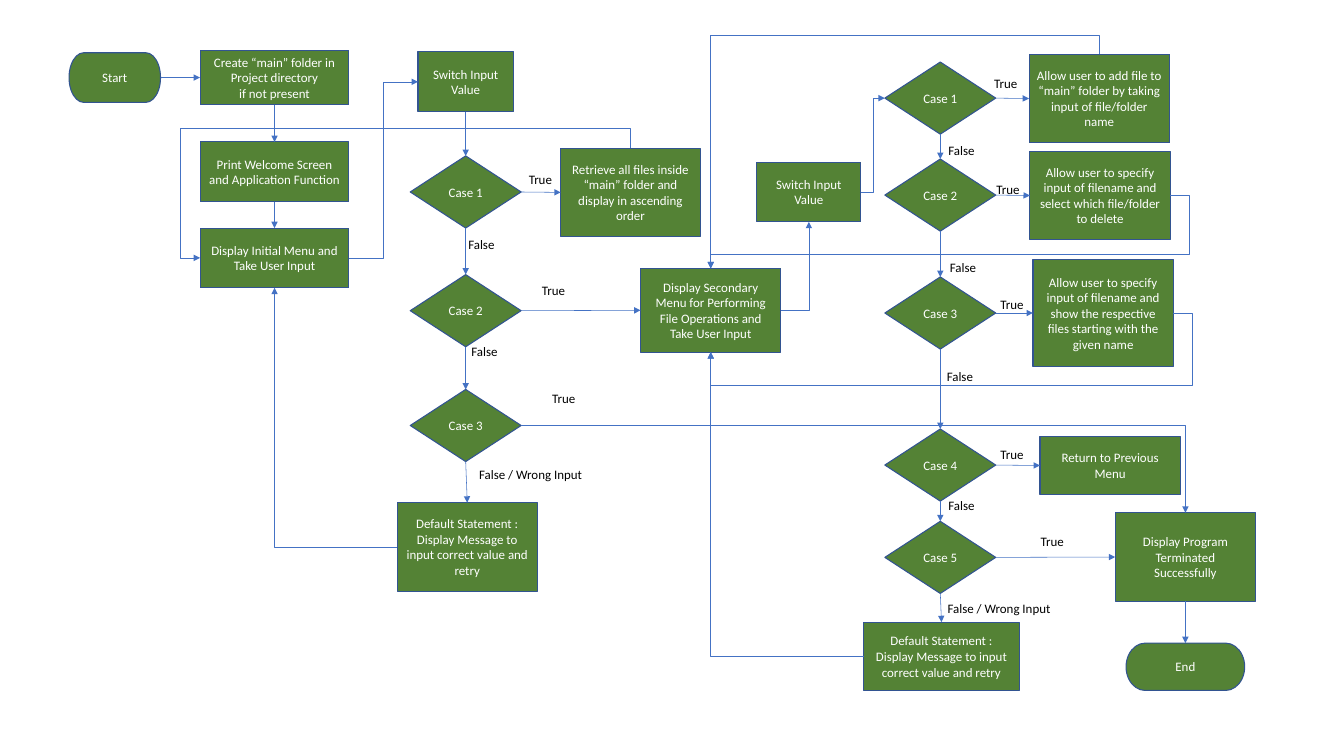
from lxml import etree
from pptx import Presentation
from pptx.dml.color import RGBColor
from pptx.enum.shapes import MSO_CONNECTOR, MSO_SHAPE
from pptx.enum.text import MSO_ANCHOR, PP_ALIGN
from pptx.oxml.ns import qn
from pptx.util import Inches, Pt

BOX, STEP = MSO_SHAPE.RECTANGLE, MSO_SHAPE.FLOWCHART_PROCESS
CASE, TERMINAL = MSO_SHAPE.FLOWCHART_DECISION, MSO_SHAPE.FLOWCHART_TERMINATOR
STRAIGHT, ELBOW = MSO_CONNECTOR.STRAIGHT, MSO_CONNECTOR.ELBOW
CENTER, LEFT = PP_ALIGN.CENTER, PP_ALIGN.LEFT
MIDDLE, TOP = MSO_ANCHOR.MIDDLE, MSO_ANCHOR.TOP
SIDES = {"top": 0, "left": 1, "bottom": 2, "right": 3}

THEME = {
    "font": "Calibri", "size": Pt(12),
    "fill": RGBColor.from_string("548235"),
    "outline": RGBColor.from_string("325491"), "outline_width": Pt(1),
    "arrow": RGBColor.from_string("4472C4"), "arrow_width": Pt(0.5),
    "on_fill": RGBColor.from_string("FFFFFF"),
    "label": RGBColor.from_string("000000"),
}

RETRY = "Default Statement : Display Message to input correct value and retry"
SWITCH = "Switch Input\nValue"

# Step name: (preset, left, top, width, height, text)
STEPS = {
    "start": (TERMINAL, 0.89, 0.68, 1.18, 0.64, "Start"),
    "create": (BOX, 2.58, 0.65, 1.92, 0.7,
               "Create “main” folder in Project directory\nif not present"),
    "welcome": (BOX, 2.58, 1.83, 1.92, 0.77,
                "Print Welcome Screen and Application Function"),
    "menu": (BOX, 2.58, 2.94, 1.92, 0.77, "Display Initial Menu and Take User Input"),
    "switch": (BOX, 5.39, 0.67, 1.23, 0.77, SWITCH),
    "retrieve": (STEP, 7.23, 1.91, 1.8, 1.14,
                 "Retrieve all files inside “main” folder and display in ascending order"),
    "retry": (STEP, 5.12, 6.48, 1.81, 1.14, RETRY),
    "submenu": (STEP, 8.26, 3.46, 1.81, 1.08,
                "Display Secondary Menu for Performing File Operations and Take User Input"),
    "subswitch": (BOX, 9.76, 2.09, 1.34, 0.77, SWITCH),
    "add": (STEP, 13.27, 0.7, 1.81, 1.14,
            "Allow user to add file to “main” folder by taking input of file/folder name"),
    "delete": (STEP, 13.28, 1.95, 1.81, 1.14,
               "Allow user to specify input of filename and select which file/folder to delete"),
    "show": (STEP, 13.32, 3.35, 1.81, 1.37,
             "Allow user to specify input of filename and show the respective files "
             "starting with the given name"),
    "return": (STEP, 13.41, 5.63, 1.81, 0.74, "Return to Previous Menu"),
    "subretry": (STEP, 11.14, 8.02, 2, 0.88, RETRY),
    "finish": (STEP, 14.38, 6.61, 1.81, 1.14, "Display Program Terminated Successfully"),
    "end": (TERMINAL, 14.52, 8.29, 1.53, 0.61, "End"),
}

# Decision chains: prefix, left, tops of the cases
CASE_WIDTH, CASE_HEIGHT = 1.43, 0.93
CHAINS = [("main", 5.29, (2.01, 3.54, 5.02)),
          ("sub", 11.41, (0.8, 2.05, 3.57, 5.53, 6.72))]

DOWNWARD = [
    ("create", "welcome", "menu"), ("finish", "end"),
    ("switch", "main1", "main2", "main3", "retry"),
    ("sub1", "sub2", "sub3", "sub4", "sub5", "subretry"),
]
RIGHTWARD = [
    ("start", "create"), ("main1", "retrieve"), ("main2", "submenu"),
    ("sub1", "add"), ("sub2", "delete"), ("sub3", "show"),
    ("sub4", "return"), ("sub5", "finish"),
]
STEPPED = [("menu", "switch"), ("subswitch", "sub1")]
CORNERS = [
    ("retry", "left", "menu", "bottom"), ("main3", "right", "finish", "top"),
    ("subretry", "left", "submenu", "bottom"), ("submenu", "right", "subswitch", "bottom"),
]
# Loops leave sideways to x, run along y; the arrowhead sits at the named end
LOOPS = [
    ("menu", "left", "retrieve", "top", 2.33, 1.66, "headEnd"),
    ("show", "right", "submenu", "bottom", 15.37, 4.96, "tailEnd"),
    ("delete", "right", "submenu", "top", 15.34, 3.28, "tailEnd"),
]
OVERHEAD_Y = 0.45

LABEL_WIDTHS = {"True": 0.5, "False": 0.54, "False / Wrong Input": 1.54}
LABELS = {
    "True": [(6.72, 2.16), (6.89, 3.6), (7.02, 4.99), (12.72, 0.93), (12.75, 2.29),
             (12.8, 3.78), (12.8, 5.71), (13.32, 6.83)],
    "False": [(5.94, 3), (5.98, 4.38), (12.13, 1.79), (12.15, 3.3), (12.11, 4.7),
              (12.13, 6.36)],
    "False / Wrong Input": [(6.08, 5.96), (12.12, 7.69)],
}


def write(frame, text, *, color, align=LEFT, anchor=TOP, wrap=True):
    """Put text into a frame, one paragraph per line."""
    frame.text = text
    frame.word_wrap = wrap
    frame.vertical_anchor = anchor
    for paragraph in frame.paragraphs:
        paragraph.alignment = align
        font = paragraph.runs[0].font
        font.name, font.size = THEME["font"], THEME["size"]
        font.color.rgb = color


def add_step(slide, preset, left, top, width, height, text):
    """Draw one flowchart step."""
    step = slide.shapes.add_shape(preset, *map(Inches, (left, top, width, height)))
    step.shadow.inherit = False
    step.fill.solid()
    step.fill.fore_color.rgb = THEME["fill"]
    step.line.color.rgb = THEME["outline"]
    step.line.width = THEME["outline_width"]
    write(step.text_frame, text, color=THEME["on_fill"], align=CENTER, anchor=MIDDLE)
    return step


def link(slide, source, source_side, target, target_side, kind=STRAIGHT, head="tailEnd"):
    """Connect two steps with an arrow glued to the given sides."""
    arrow = slide.shapes.add_connector(kind, 0, 0, 0, 0)
    arrow.begin_connect(source, SIDES[source_side])
    arrow.end_connect(target, SIDES[target_side])
    arrow.line.color.rgb = THEME["arrow"]
    arrow.line.width = THEME["arrow_width"]
    properties = arrow._element.spPr
    etree.SubElement(properties.find(qn("a:ln")), qn(f"a:{head}"), type="triangle")
    etree.SubElement(properties, qn("a:effectLst"))
    return arrow


def bend(arrow, preset, *ratios):
    """Choose the elbow preset and where its inner segments lie."""
    geometry = arrow._element.spPr.find(qn("a:prstGeom"))
    geometry.set("prst", preset)
    guides = geometry.get_or_add_avLst()
    for number, ratio in enumerate(ratios, 1):
        etree.SubElement(guides, qn("a:gd"), name=f"adj{number}",
                         fmla=f"val {round(ratio * 100000)}")


def link_overhead(slide, source, target, y):
    """Connect two tops by a line that rises to y, runs left and drops."""
    arrow = link(slide, source, "top", target, "top", ELBOW)
    run, drop = arrow.width, arrow.height
    bend(arrow, "bentConnector3", (Inches(y) - arrow.begin_y) / drop)
    middle_x, middle_y = arrow.left + run // 2, arrow.top + drop // 2
    arrow.left, arrow.top = middle_x - drop // 2, middle_y - run // 2
    arrow.width, arrow.height = drop, run
    frame = arrow._element.spPr.find(qn("a:xfrm"))
    for key, value in (("rot", "16200000"), ("flipH", "1"), ("flipV", "1")):
        frame.set(key, value)


def main():
    """Build the flowchart slide."""
    deck = Presentation()
    deck.slide_width, deck.slide_height = Inches(17.33), Inches(9.5)
    slide = deck.slides.add_slide(deck.slide_layouts[6])

    steps = {name: add_step(slide, *details) for name, details in STEPS.items()}
    for prefix, left, tops in CHAINS:
        for number, top in enumerate(tops, 1):
            steps[f"{prefix}{number}"] = add_step(
                slide, CASE, left, top, CASE_WIDTH, CASE_HEIGHT, f"Case {number}")

    for chain in DOWNWARD:
        for upper, lower in zip(chain, chain[1:]):
            link(slide, steps[upper], "bottom", steps[lower], "top")
    for pairs, kind in ((RIGHTWARD, STRAIGHT), (STEPPED, ELBOW)):
        for source, target in pairs:
            link(slide, steps[source], "right", steps[target], "left", kind)
    for source, source_side, target, target_side in CORNERS:
        corner = link(slide, steps[source], source_side, steps[target], target_side, ELBOW)
        bend(corner, "bentConnector2")
    for source, source_side, target, target_side, x, y, head in LOOPS:
        loop = link(slide, steps[source], source_side, steps[target], target_side, ELBOW, head)
        bend(loop, "bentConnector4",
             (Inches(x) - loop.begin_x) / (loop.end_x - loop.begin_x),
             (Inches(y) - loop.begin_y) / (loop.end_y - loop.begin_y))
    link_overhead(slide, steps["add"], steps["submenu"], OVERHEAD_Y)

    for answer, places in LABELS.items():
        for left, top in places:
            label = slide.shapes.add_textbox(
                *map(Inches, (left, top, LABEL_WIDTHS[answer], 0.3)))
            write(label.text_frame, answer, color=THEME["label"], wrap=False)

    deck.save("out.pptx")


main()
